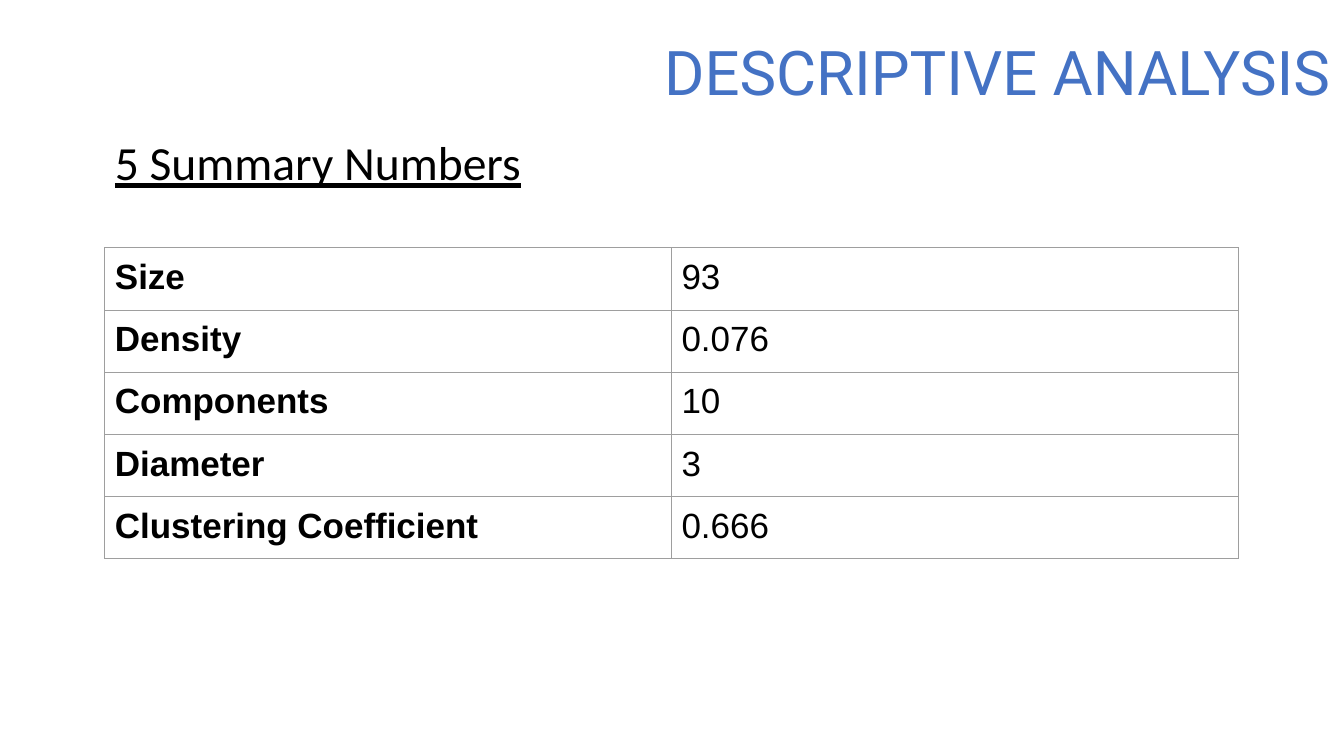
"""Build the descriptive analysis slide with its table of five summary numbers."""
from dataclasses import dataclass
from typing import Any

from lxml.etree import SubElement
from pptx import Presentation
from pptx.dml.color import RGBColor
from pptx.enum.text import MSO_ANCHOR, PP_ALIGN
from pptx.oxml.ns import qn
from pptx.util import Inches, Pt


@dataclass(frozen=True)
class Theme:
    accent: str = "4472C4"
    ink: str = "000000"
    border: str = "9E9E9E"
    title_font: str = "Roboto"
    heading_font: str = "Calibri"
    table_font: str = "Arial"
    title_size: int = 44
    heading_size: int = 34
    table_size: int = 25
    border_width: float = 0.75
    pad: float = 0.1


@dataclass(frozen=True)
class Measure:
    name: str
    value: str


THEME = Theme()
MEASURES = [
    Measure("Size", "93"),
    Measure("Density", "0.076"),
    Measure("Components", "10"),
    Measure("Diameter", "3"),
    Measure("Clustering Coefficient", "0.666"),
]


def write(tf: Any, text: str, *, font: str, size: int, color: str = THEME.ink,
          bold: bool = False, underline: bool = False,
          align: PP_ALIGN = PP_ALIGN.LEFT, spacing: float = 1.0) -> None:
    tf.word_wrap = True
    p = tf.paragraphs[0]
    p.alignment = align
    p.line_spacing = spacing
    r = p.add_run()
    r.text = text
    r.font.name = font
    r.font.size = Pt(size)
    r.font.bold = bold
    r.font.underline = underline
    r.font.color.rgb = RGBColor.from_string(color)


def set_margins(box: Any, x: float, y: float) -> None:
    box.margin_left = box.margin_right = Inches(x)
    box.margin_top = box.margin_bottom = Inches(y)


def add_borders(cell: Any) -> None:
    tc_pr = cell._tc.get_or_add_tcPr()
    for side in ("L", "R", "T", "B"):
        ln = SubElement(tc_pr, qn(f"a:ln{side}"), w=str(Pt(THEME.border_width)))
        fill = SubElement(ln, qn("a:solidFill"))
        SubElement(fill, qn("a:srgbClr"), val=THEME.border)


def add_title(s: Any, text: str) -> None:
    sp = s.shapes.title
    sp.left, sp.top = Inches(1.42), Inches(0.38)
    sp.width, sp.height = Inches(11.88), Inches(0.74)
    tf = sp.text_frame
    tf.vertical_anchor = MSO_ANCHOR.MIDDLE
    set_margins(tf, THEME.pad, 0.05)
    write(tf, text, font=THEME.title_font, size=THEME.title_size,
          color=THEME.accent, align=PP_ALIGN.RIGHT, spacing=0.9)


def add_heading(s: Any, text: str) -> None:
    sp = s.shapes.add_textbox(Inches(1.04), Inches(1.22), Inches(4.61), Inches(0.77))
    set_margins(sp.text_frame, THEME.pad, THEME.pad)
    write(sp.text_frame, text, font=THEME.heading_font,
          size=THEME.heading_size, underline=True)


def add_measures(s: Any, measures: list[Measure]) -> None:
    table = s.shapes.add_table(
        len(measures), 2, Inches(1.04), Inches(2.46),
        Inches(11.24), Inches(0.42 * len(measures))).table
    table.first_row = table.horz_banding = False
    for row, measure in enumerate(measures):
        for col, text in enumerate((measure.name, measure.value)):
            cell = table.cell(row, col)
            set_margins(cell, THEME.pad, THEME.pad)
            add_borders(cell)
            cell.fill.background()
            write(cell.text_frame, text, font=THEME.table_font,
                  size=THEME.table_size, bold=col == 0)


def main() -> None:
    prs = Presentation()
    prs.slide_width, prs.slide_height = Inches(13.33), Inches(7.5)
    s = prs.slides.add_slide(prs.slide_layouts[5])
    add_title(s, "DESCRIPTIVE ANALYSIS")
    add_heading(s, "5 Summary Numbers")
    add_measures(s, MEASURES)
    prs.save("out.pptx")


if __name__ == "__main__":
    main()
